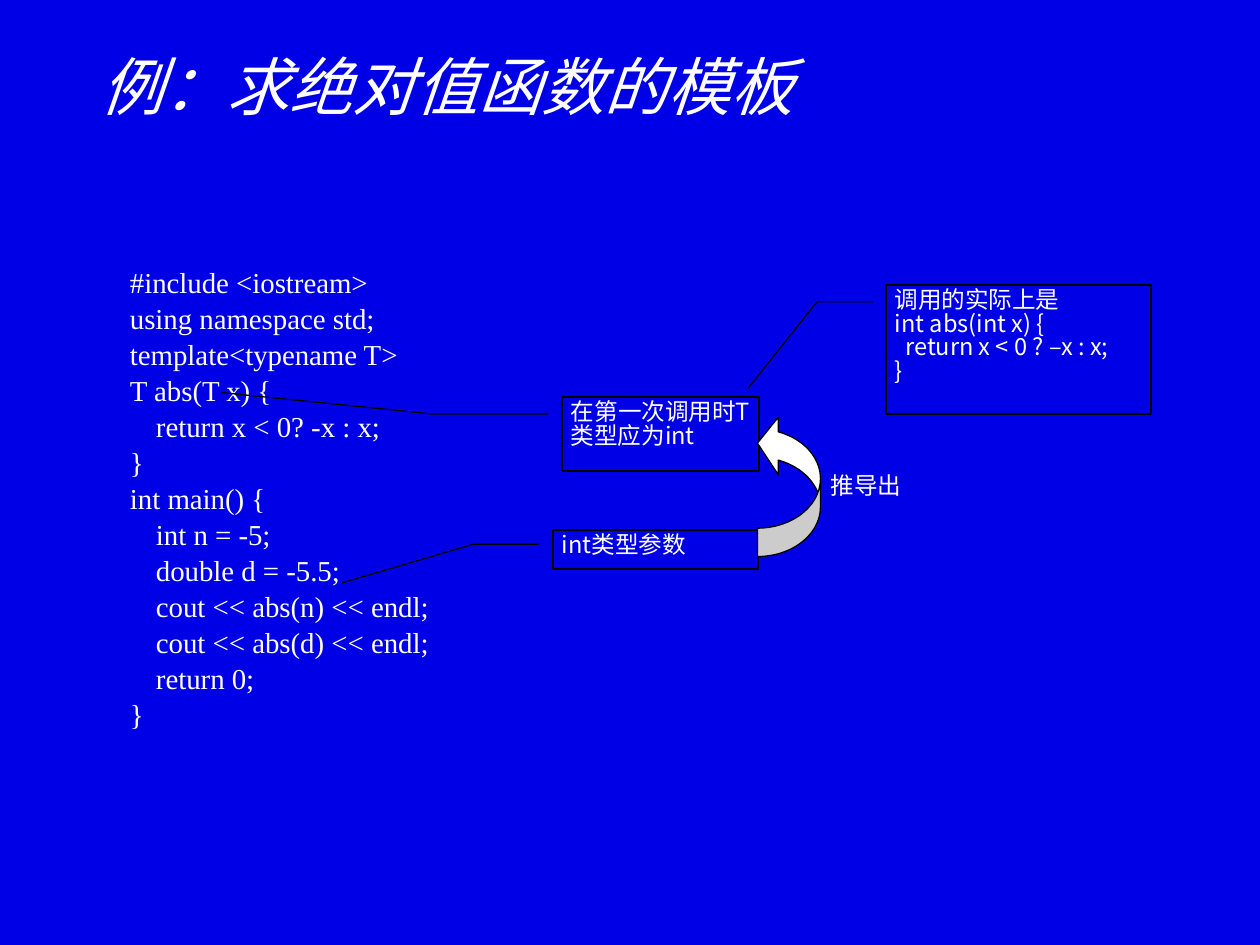
from lxml import etree
from pptx import Presentation
from pptx import util as u
from pptx.dml.color import RGBColor
from pptx.enum import shapes, text
from pptx.oxml.ns import qn

CODE = """#include <iostream>
using namespace std;
template<typename T>
T abs(T x) {
\treturn x < 0? -x : x;
}
int main() {
\tint n = -5;
\tdouble d = -5.5;
\tcout << abs(n) << endl;
\tcout << abs(d) << endl;
\treturn 0;
}"""
CALL = "调用的实际上是\nint abs(int x) {\v  return x < 0 ? –x : x;\v}"


def px(n):
    return u.Emu(round(n * 914400 / 126))


def rgb(code):
    return RGBColor.from_string(code)


class Deck:
    """Style and current slide, with one method for each kind of element."""

    serif, sans = "Times New Roman", "Noto Sans CJK SC"
    back, ink, edge = "0000E7", "FFFFFF", "000000"

    def __init__(self):
        self.prs = Presentation()
        self.prs.slide_width, self.prs.slide_height = px(1260), px(945)
        self.slide = self.prs.slides.add_slide(self.prs.slide_layouts[5])
        fill = self.slide.background.fill
        fill.solid()
        fill.fore_color.rgb = rgb(self.back)

    def words(self, frame, words, size, face, align, space=1.0, inset=(13, 6)):
        frame.text = words
        frame.word_wrap = True
        frame.auto_size = text.MSO_AUTO_SIZE.NONE
        frame.vertical_anchor = text.MSO_ANCHOR.TOP
        frame.margin_left = frame.margin_right = px(inset[0])
        frame.margin_top = frame.margin_bottom = px(inset[1])
        for par in frame.paragraphs:
            par.alignment = align
            par.line_spacing = space
            font = par.font
            font.size, font.name = u.Pt(size), face
            font.color.rgb = rgb(self.ink)
            props = par._p.pPr.find(qn("a:defRPr"))
            etree.SubElement(props, qn("a:ea"), typeface=self.sans)

    def title(self, words, *box):
        shape = self.slide.shapes.title
        shape.left, shape.top, shape.width, shape.height = map(px, box)
        self.words(shape.text_frame, words, 36, self.serif, text.PP_ALIGN.LEFT, 0.9)
        shape.text_frame.paragraphs[0].font.italic = True

    def code(self, words, *box):
        frame = self.slide.shapes.add_textbox(*map(px, box)).text_frame
        self.words(frame, words, 16.5, self.serif, text.PP_ALIGN.LEFT)
        for par in frame.paragraphs:
            par.space_after = u.Pt(0.8)
            par._p.pPr.set("marL", str(px(37)))
            par._p.pPr.set("indent", str(px(-26)))

    def note(self, frame, words, align=text.PP_ALIGN.JUSTIFY):
        self.words(frame, words, 13.5, self.sans, align, 0.83, (9, 5))

    def label(self, words, *box):
        self.note(self.slide.shapes.add_textbox(*map(px, box)).text_frame, words)

    def shape(self, kind, box, adjust):
        shape = self.slide.shapes.add_shape(kind, *map(px, box))
        shape.shadow.inherit = False
        shape.line.color.rgb = rgb(self.edge)
        shape.line.width = u.Pt(0.75)
        for i, value in enumerate(adjust):
            shape.adjustments[i] = value
        return shape

    def callout(self, words, box, adjust, align=text.PP_ALIGN.JUSTIFY):
        shape = self.shape(shapes.MSO_SHAPE.LINE_CALLOUT_2, box, adjust)
        shape.fill.background()
        self.note(shape.text_frame, words, align)

    def arrow(self, box, adjust):
        shape = self.shape(shapes.MSO_SHAPE.CURVED_UP_ARROW, box, adjust)
        shape.rotation = 270
        shape.fill.solid()
        shape.fill.fore_color.rgb = rgb(self.ink)


def main():
    deck = Deck()
    deck.title("例：求绝对值函数的模板", 87, 50, 1086, 183)
    deck.code(CODE, 106, 259, 590, 493)
    deck.callout("在第一次调用时T类型应为int", (562, 397, 197, 74),
                 (0.23, -0.07, 0.23, -0.66, -0.06, -1.73))
    deck.callout("int类型参数", (553, 530, 205, 39),
                 (0.37, -0.07, 0.37, -0.39, 1.36, -1.03))
    deck.arrow((718, 454, 142, 63), (0.45, 0.91, 0.33))
    deck.label("推导出", 822, 471, 122, 30)
    deck.callout(CALL, (886, 285, 265, 129),
                 (0.13, -0.05, 0.13, -0.26, 0.8, -0.52), text.PP_ALIGN.LEFT)
    deck.prs.save("out.pptx")


if __name__ == "__main__":
    main()
